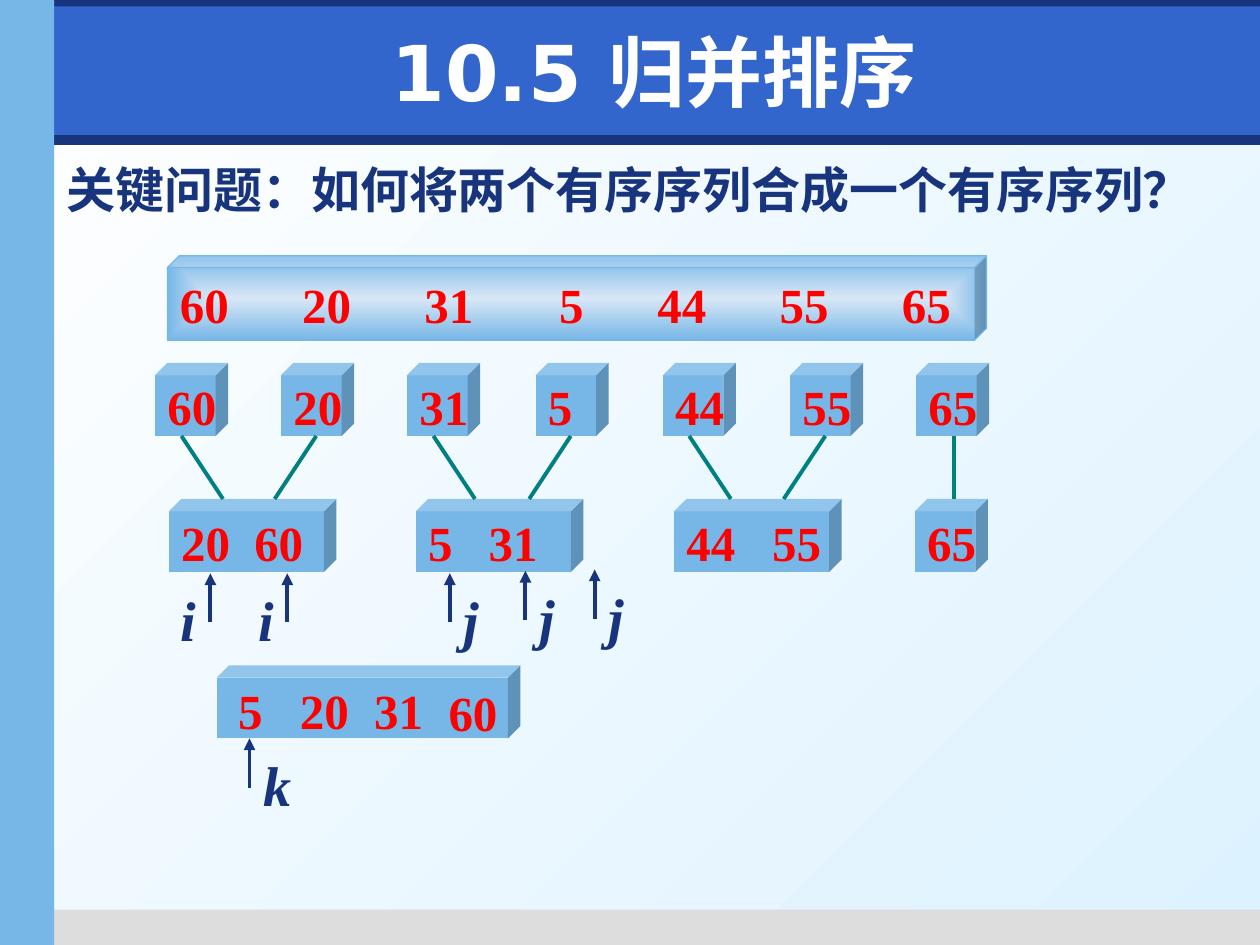
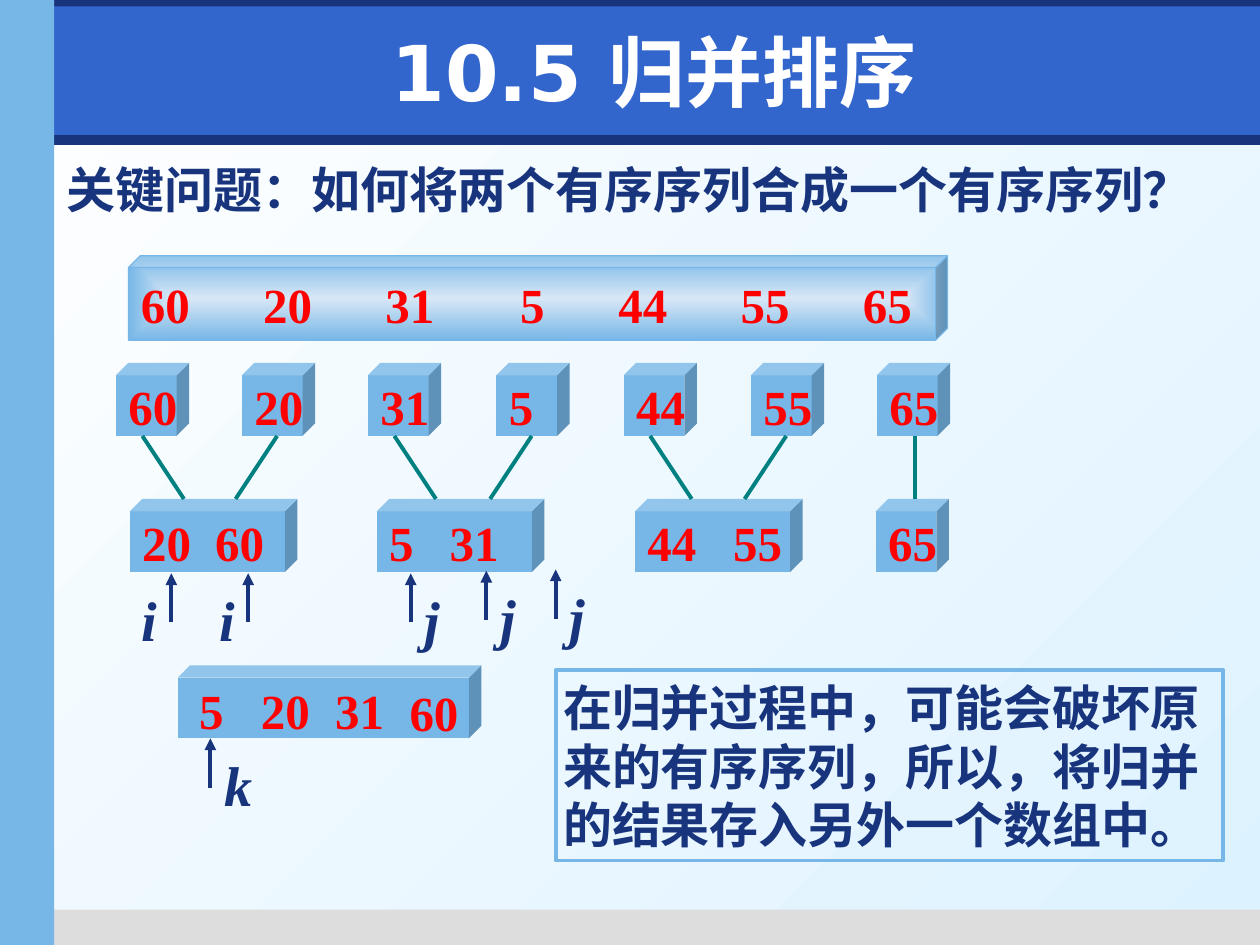
"""Two slides on merge sort: how two sorted runs become one."""
from lxml.etree import SubElement
from pptx import Presentation
from pptx.dml.color import RGBColor
from pptx.enum.shapes import MSO_CONNECTOR, MSO_SHAPE
from pptx.enum.text import MSO_ANCHOR, PP_ALIGN
from pptx.oxml.ns import qn
from pptx.util import Inches, Pt

RECT, CUBE = MSO_SHAPE.RECTANGLE, MSO_SHAPE.CUBE
LINE = MSO_CONNECTOR.STRAIGHT
LEFT, CENTER = PP_ALIGN.LEFT, PP_ALIGN.CENTER
TOP, MIDDLE = MSO_ANCHOR.TOP, MSO_ANCHOR.MIDDLE
NAVY, BLUE, SKY, PALE = "17347D", "3366CC", "77B7E7", "D8E7F6"
GRAY, WHITE, ICE, RED, TEAL = "DDDDDD", "FFFFFF", "DDF2FF", "FF0000", "008080"
SERIF, SANS, HAN = "Times New Roman", "DejaVu Sans", "Noto Sans CJK SC"
hue = RGBColor.from_string

deck = Presentation()
deck.slide_width, deck.slide_height = Inches(10), Inches(7.5)
COL, ROW = deck.slide_width / 10, deck.slide_height / 7.5


def put(slide, kind, x, y, w, h, fill=None):
    """Place a preset shape, or a text box if kind is None, on the grid."""
    area = [int(n) for n in (x * COL, y * ROW, w * COL, h * ROW)]
    if kind is None:
        return slide.shapes.add_textbox(*area)
    shape = slide.shapes.add_shape(kind, *area)
    shape.shadow.inherit = False
    shape.line.fill.background()
    if fill:
        shape.fill.solid()
        shape.fill.fore_color.rgb = hue(fill)
    else:
        shape.fill.background()
    if kind == CUBE:
        shape.adjustments[0] = 0.17
    return shape


def write(shape, text, color=RED, size=28, face=SERIF, align=LEFT,
          anchor=MIDDLE, wrap=True, inset=None, tabs=()):
    """Fill a shape with one bold paragraph and return the paragraph."""
    frame = shape.text_frame
    frame.word_wrap, frame.vertical_anchor = wrap, anchor
    if inset is not None:
        frame.margin_left = frame.margin_right = Inches(inset)
        frame.margin_top = frame.margin_bottom = Inches(inset)
    para = frame.paragraphs[0]
    para.text, para.alignment = text, align
    if tabs:
        stops = SubElement(para._p.get_or_add_pPr(), qn("a:tabLst"))
        for stop in tabs:
            SubElement(stops, qn("a:tab"), pos=str(Inches(stop)), algn="l")
    font = para.font
    font.name, font.size, font.bold = face, Pt(size), True
    font.color.rgb = hue(color)
    return para


master, layout = deck.slide_master, deck.slide_layouts[5]
back = master.background.fill
back.gradient()
back.gradient_angle = 315
for stop, color in zip(back.gradient_stops, (WHITE, ICE)):
    stop.color.rgb = hue(color)
head = layout.placeholders[0]
head.left, head.top = int(0.59 * COL), int(0.13 * ROW)
head.width, head.height = int(9.21 * COL), int(0.87 * ROW)

BANDS = [
    (0.04, 1.07, 9.96, 0.08, NAVY),
    (0.35, 7.22, 9.65, 0.28, GRAY),
    (0, 0, 10, 0.21, NAVY),
    (0.43, 0.05, 9.57, 1.02, BLUE),
    (0, 0, 0.43, 7.5, SKY),
]
CELLS = list(zip((1.23, 2.23, 3.23, 4.25, 5.26, 6.27, 7.27),
                 ("60", "20", "31", "5", "44", "55", "65")))
RUNS = [
    (1.34, 1.33, "20\t60", [0.58]),
    (3.3, 1.33, "5\t31", [0.48]),
    (5.35, 1.33, "44\t55", [0.68]),
    (7.26, 0.58, "65", []),
]
MARKS = [
    ("i", 1.67, 4.55, -0.24),
    ("i", 2.28, 4.55, -0.23),
    ("j", 3.57, 4.55, 0.11),
    ("j", 4.17, 4.53, 0.11),
    ("j", 4.72, 4.52, 0.11),
    ("k", 1.98, 5.86, 0.11),
]
DONE = [("5", 1.89, 5.4), ("20", 2.38, 5.4), ("31", 2.97, 5.4), ("60", 3.56, 5.42)]

for page, shift in enumerate((0, -0.31)):
    slide = deck.slides.add_slide(layout)
    if page == 0:
        for spot, (x, y, w, h, color) in enumerate(BANDS):
            band = put(slide, RECT, x, y, w, h, color)
            master.shapes.element.insert(2 + spot, band.element)

    write(slide.shapes.title, "10.5 归并排序", WHITE, 44, SANS, CENTER)
    ask = write(put(slide, None, 0.43, 1.22, 9.57, 0.57), "关键问题：", NAVY,
                face=HAN, anchor=TOP)
    rest = ask.add_run()
    rest.text, rest.font.name = "如何将两个有序序列合成一个有序序列？", "Arial"

    bar = put(slide, CUBE, 1.33 + shift, 2.03, 6.5, 0.67)
    bar.adjustments[0] = 0.14
    bar.line.color.rgb, bar.line.width = hue(SKY), Pt(0.75)
    bar.fill.gradient()
    for stop, color in zip(bar.fill.gradient_stops, (PALE, SKY)):
        stop.color.rgb = hue(color)
    grad = bar.element.spPr.find(qn("a:gradFill"))
    grad.remove(grad.find(qn("a:lin")))
    glow = SubElement(grad, qn("a:path"), path="rect")
    SubElement(glow, qn("a:fillToRect"), l="50000", t="50000", r="50000", b="50000")
    write(bar, "\t".join(num for _, num in CELLS),
          tabs=(0.97, 1.94, 3.01, 3.79, 4.76, 5.73))

    lines = []
    for spot, (x, num) in enumerate(CELLS):
        write(put(slide, CUBE, x + shift, 2.88, 0.58, 0.58, SKY), num, wrap=False)
        if num == "65":
            start, lean = x + 0.3, 0
        elif spot % 2:
            start, lean = x + 0.28, -0.33
        else:
            start, lean = x + 0.21, 0.33
        lines.append((start, 3.46, start + lean, 3.96, TEAL))

    for x, w, text, tabs in RUNS:
        write(put(slide, CUBE, x + shift, 3.96, w, 0.58, SKY), text,
              wrap=False, tabs=tabs)

    put(slide, CUBE, 1.72 + shift, 5.28, 2.41, 0.58, SKY)
    for num, x, y in DONE:
        para = write(put(slide, None, x + shift, y, 0.42, 0.47), num,
                     anchor=TOP, inset=0)
        para.space_before = Pt(4)

    for name, x, y, side in MARKS:
        lines.append((x, y + 0.39, x, y, NAVY))
        para = write(put(slide, None, x + side + shift, y + 0.1, 0.2, 0.54), name,
                     NAVY, 32, anchor=TOP, inset=0)
        para.font.italic = True
        para.space_before = Pt(4)

    for x, y, to_x, to_y, color in lines:
        link = slide.shapes.add_connector(
            LINE, int((x + shift) * COL), int(y * ROW),
            int((to_x + shift) * COL), int(to_y * ROW))
        link.line.color.rgb, link.line.width = hue(color), Pt(2.25)
        trim = link.element.spPr
        if color == NAVY:
            SubElement(trim.find(qn("a:ln")), qn("a:tailEnd"), type="triangle")
        SubElement(trim, qn("a:effectLst"))

note = put(slide, RECT, 4.41, 5.32, 5.3, 1.51)
note.line.color.rgb, note.line.width = hue(SKY), Pt(2.25)
write(note, "在归并过程中，可能会破坏原来的有序序列，所以，将归并的结果存入另外一个数组中。",
      NAVY, face=HAN, inset=0.04)
note.text_frame.margin_left, note.text_frame.margin_right = Inches(0.06), Inches(0.02)

deck.save("out.pptx")
